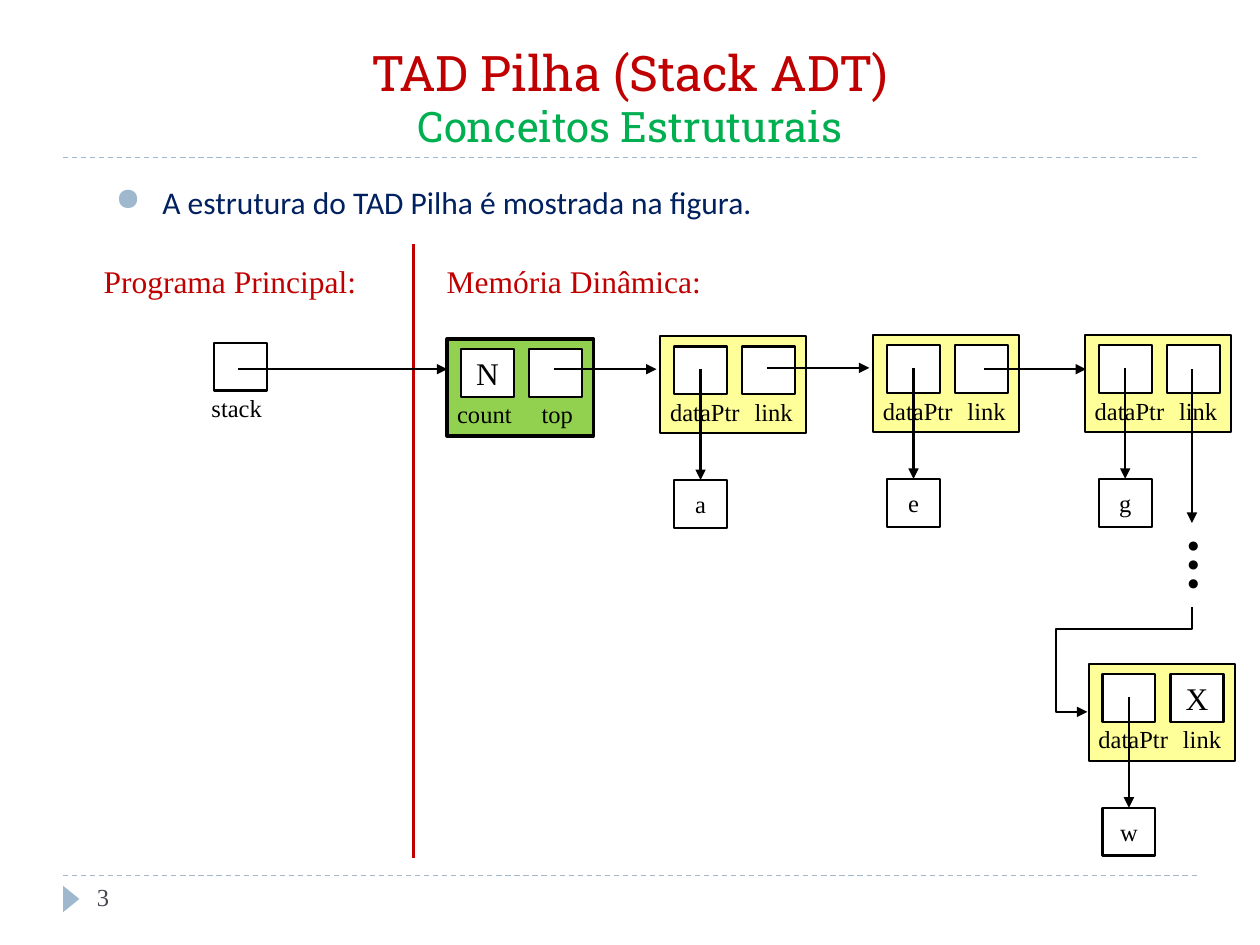
import pptx
import pptx.util
import pptx.dml.color
import pptx.enum.dml
import pptx.enum.shapes
import pptx.enum.text
import pptx.oxml.ns
import pptx.oxml.xmlchemy

Inches = pptx.util.Inches
Pt = pptx.util.Pt
ALIGN = pptx.enum.text.PP_ALIGN
ANCHOR = pptx.enum.text.MSO_ANCHOR
SHAPE = pptx.enum.shapes.MSO_SHAPE
CONNECTOR = pptx.enum.shapes.MSO_CONNECTOR
new_element = pptx.oxml.xmlchemy.OxmlElement

COLORS = {
    "red": "C00000", "title_green": "00B050", "navy": "002060", "accent": "9FB8CD",
    "number": "464653", "black": "000000", "white": "FFFFFF",
    "head": "92D050", "node": "FFFF99",
}
SERIF = "Times New Roman"
CELL_WIDTH, CELL_HEIGHT = 0.42, 0.38
NODE_WIDTH, NODE_HEIGHT = 1.16, 0.77
LEFT_CELL, RIGHT_CELL, CELL_TOP = 0.11, 0.65, 0.08
LABEL_TOP, LABEL_HEIGHT = 0.43, 0.34
POINTER_X, POINTER_Y, VALUE_TOP = 0.32, 0.26, 1.14

TITLE = [("TAD Pilha (Stack ADT)", 28, "red"), ("Conceitos Estruturais", 24, "title_green")]
BULLET = "A estrutura do TAD Pilha é mostrada na figura."
HEADINGS = [("Programa Principal:", 0.5), ("Memória Dinâmica:", 3.23)]
HEAD_NODE = {"left": 3.55, "top": 2.69, "labels": [("count", 0.64), ("top", 0.45)],
             "cells": ("N", ""), "fill": "head", "border": 2}
DATA_NODES = [
    (5.24, 2.67, "a", ""),
    (6.93, 2.66, "e", ""),
    (8.61, 2.66, "g", ""),
    (8.64, 5.27, "w", "X"),
]
DATA_LABELS = [("dataPtr", 0.76), ("link", 0.51)]
LINKS = [
    (1.89, 2.93, 3.55, 2.93),
    (4.4, 2.93, 5.21, 2.93),
    (6.09, 2.92, 6.9, 2.92),
    (7.81, 2.93, 8.62, 2.93),
    (9.46, 2.93, 9.46, 4.15),
]


def rgb(name):
    return pptx.dml.color.RGBColor.from_string(COLORS[name])


def add_run(paragraph, text, size, color, font=SERIF, bold=False):
    run = paragraph.add_run()
    run.text = text
    run.font.size = Pt(size)
    run.font.name = font
    run.font.bold = bold
    run.font.color.rgb = rgb(color)


def add_text(slide, left, top, width, height, text="", size=14, color="black",
             font=SERIF, align=ALIGN.LEFT, wrap=True, bold=False):
    box = slide.shapes.add_textbox(Inches(left), Inches(top), Inches(width), Inches(height))
    box.text_frame.word_wrap = wrap
    paragraph = box.text_frame.paragraphs[0]
    paragraph.alignment = align
    if text:
        add_run(paragraph, text, size, color, font, bold)
    return box


def add_box(slide, left, top, width, height, fill="white", border=1.25,
            kind=SHAPE.RECTANGLE):
    shape = slide.shapes.add_shape(kind, Inches(left), Inches(top), Inches(width), Inches(height))
    shape.shadow.inherit = False
    shape.fill.solid()
    shape.fill.fore_color.rgb = rgb(fill)
    if border:
        shape.line.color.rgb = rgb("black")
        shape.line.width = Pt(border)
    else:
        shape.line.fill.background()
    return shape


def add_cell(slide, left, top, text="", size=14):
    cell = add_box(slide, left, top, CELL_WIDTH, CELL_HEIGHT)
    if text:
        cell.text_frame.vertical_anchor = ANCHOR.MIDDLE
        cell.text_frame.word_wrap = False
        paragraph = cell.text_frame.paragraphs[0]
        paragraph.alignment = ALIGN.CENTER
        add_run(paragraph, text, size, "black")


def add_line(slide, x1, y1, x2, y2, color="black", width=1.5, arrow=False,
             dashed=False, kind=CONNECTOR.STRAIGHT):
    line = slide.shapes.add_connector(kind, Inches(x1), Inches(y1), Inches(x2), Inches(y2))
    line.line.color.rgb = rgb(color)
    line.line.width = Pt(width)
    if dashed:
        line.line.dash_style = pptx.enum.dml.MSO_LINE.DASH
    properties = line._element.spPr
    if arrow:
        tail = new_element("a:tailEnd")
        tail.set("type", "triangle")
        properties.find(pptx.oxml.ns.qn("a:ln")).append(tail)
    properties.append(new_element("a:effectLst"))
    return line


def add_bent_arrow(slide, left, top, size, adjustments):
    arrow = add_line(slide, left, top, left + size, top + size, arrow=True, kind=CONNECTOR.ELBOW)
    properties = arrow._element.spPr
    properties.find(pptx.oxml.ns.qn("a:xfrm")).set("rot", str(90 * 60000))
    geometry = properties.find(pptx.oxml.ns.qn("a:prstGeom"))
    geometry.set("prst", "bentConnector4")
    values = geometry.find(pptx.oxml.ns.qn("a:avLst"))
    for number, value in enumerate(adjustments, 1):
        guide = new_element("a:gd")
        guide.set("name", f"adj{number}")
        guide.set("fmla", f"val {value}")
        values.append(guide)


def add_node(slide, left, top, labels, cells, fill="node", border=1.25):
    add_box(slide, left, top, NODE_WIDTH, NODE_HEIGHT, fill, border)
    for offset, label_offset, (label, width), text in zip(
            (LEFT_CELL, RIGHT_CELL), (-0.02, 0.65), labels, cells):
        add_cell(slide, left + offset, top + CELL_TOP, text, 18)
        add_text(slide, left + label_offset, top + LABEL_TOP, width, LABEL_HEIGHT,
                 label, wrap=False)


def add_bullet(paragraph):
    properties = paragraph._p.get_or_add_pPr()
    indent = Inches(0.37)
    properties.set("marL", str(int(indent)))
    properties.set("indent", str(-int(indent)))
    color = new_element("a:buClr")
    value = new_element("a:srgbClr")
    value.set("val", COLORS["accent"])
    color.append(value)
    character = new_element("a:buChar")
    character.set("char", "●")
    properties.extend([color, character])


def add_frame(slide):
    for y in (6.95, 1.25):
        add_line(slide, 0.5, y, 9.5, y, "accent", 0.75, dashed=True)
    marker = add_box(slide, 0.46, 7.07, 0.21, 0.13, "accent", 0, SHAPE.ISOSCELES_TRIANGLE)
    marker.rotation = 90
    title = add_text(slide, 0.5, 0.25, 9, 1, align=ALIGN.CENTER)
    title.text_frame.vertical_anchor = ANCHOR.BOTTOM
    paragraph = title.text_frame.paragraphs[0]
    for index, (text, size, color) in enumerate(TITLE):
        if index:
            paragraph.add_line_break()
        add_run(paragraph, text, size, color, "Roboto Slab")
    bullet = add_text(slide, 0.82, 1.4, 7.35, 0.4, BULLET, 18, "navy", "Calibri", ALIGN.JUSTIFY)
    add_bullet(bullet.text_frame.paragraphs[0])
    add_text(slide, 0.67, 6.95, 2.17, 0.4, "3", 14, "number")


def add_diagram(slide):
    add_line(slide, 3.28, 1.94, 3.28, 6.81, "red")
    for text, left in HEADINGS:
        add_text(slide, left, 2.03, 2.65, 0.4, text, 18, "red", align=ALIGN.CENTER)
    add_cell(slide, 1.7, 2.72)
    add_text(slide, 1.58, 3.07, 0.61, LABEL_HEIGHT, "stack", wrap=False)
    add_node(slide, **HEAD_NODE)
    for left, top, value, link in DATA_NODES:
        add_node(slide, left, top, DATA_LABELS, ("", link))
        add_cell(slide, left + LEFT_CELL, top + VALUE_TOP, value)
        x = left + POINTER_X
        add_line(slide, x, top + POINTER_Y, x, top + VALUE_TOP, arrow=True)
    for link in LINKS:
        add_line(slide, *link, arrow=True)
    add_bent_arrow(slide, 8.63, 4.82, 0.83, (20900, 130200))
    dots = add_text(slide, 9.13, 4.03, 0.67, 0.91, "…", 32, align=ALIGN.CENTER, bold=True)
    dots.rotation = 270


def main():
    presentation = pptx.Presentation()
    presentation.slide_width = Inches(10)
    presentation.slide_height = Inches(7.5)
    slide = presentation.slides.add_slide(presentation.slide_layouts[6])
    add_frame(slide)
    add_diagram(slide)
    presentation.save("out.pptx")


if __name__ == "__main__":
    main()
